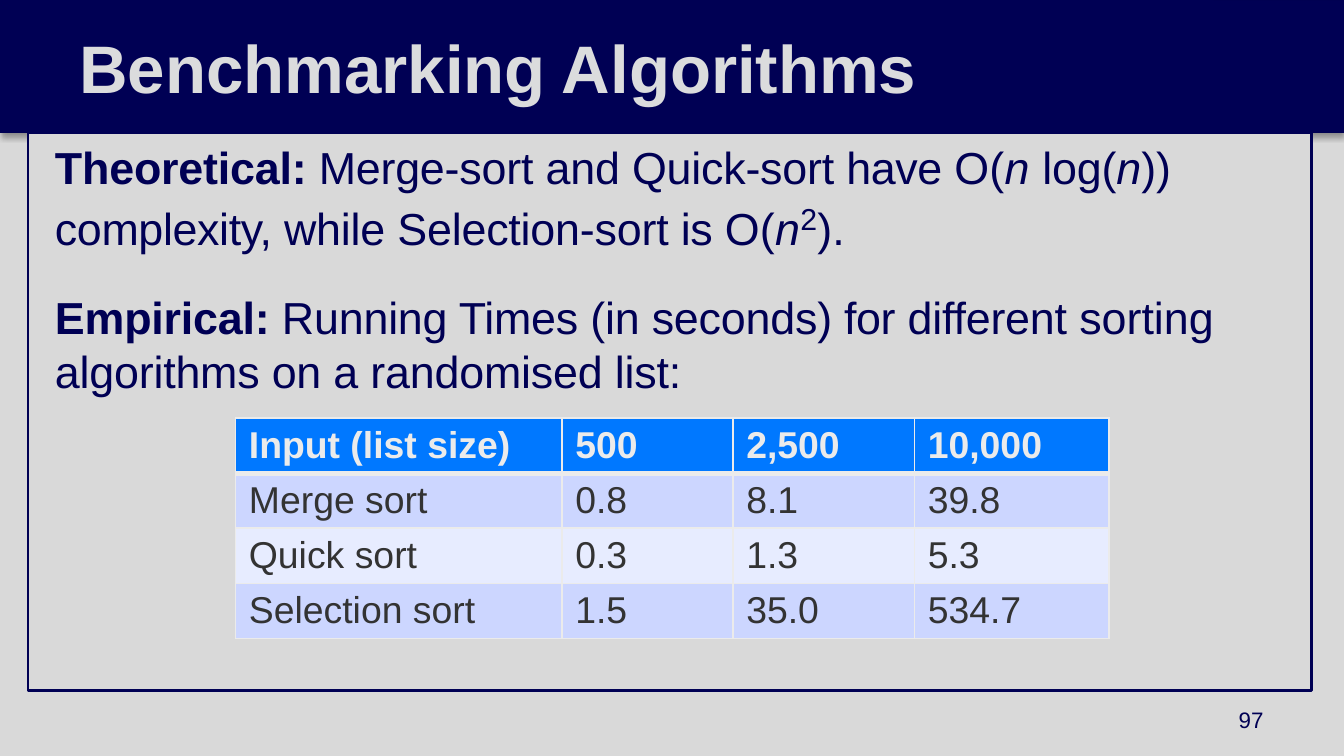
from lxml import etree
from pptx import Presentation
from pptx.dml.color import RGBColor
from pptx.enum.shapes import MSO_SHAPE as Shape
from pptx.enum.text import MSO_ANCHOR as Anchor, PP_ALIGN as Align
from pptx.oxml import parse_xml
from pptx.oxml.ns import nsdecls, qn
from pptx.util import Cm, Pt

NAVY, GREY, PALE = "000054", "D9D9D9", "EBEBEB"


def color(value):
    return RGBColor.from_string(value)


def add_run(paragraph, text, ink, spacing=0, **formats):
    run = paragraph.add_run()
    run.text = text
    run.font.color.rgb = color(ink)
    for name, value in {"name": "Arial", "bold": False, **formats}.items():
        setattr(run.font, name, value)
    if spacing:
        run._r.get_or_add_rPr().set("spc", str(spacing))
    return run


deck = Presentation()
deck.slide_width, deck.slide_height = Cm(25.4), Cm(14.29)
slide = deck.slides.add_slide(deck.slide_layouts[6])
slide.background.fill.solid()
slide.background.fill.fore_color.rgb = color(GREY)

# Header band, content panel and title block, from back to front
panels = []
for left, top, width, height, fill, line, weight in (
    (0, 0, 25.4, 2.51, NAVY, "000052", 0.75),
    (0.53, 2.51, 24.26, 10.54, GREY, NAVY, 1.5),
    (0, 0, 22.94, 2.51, NAVY, None, 0),
):
    panel = slide.shapes.add_shape(Shape.RECTANGLE, Cm(left), Cm(top), Cm(width), Cm(height))
    panel.shadow.inherit = False
    panel.fill.solid()
    panel.fill.fore_color.rgb = color(fill)
    if line:
        panel.line.color.rgb = color(line)
        panel.line.width = Pt(weight)
    else:
        panel.line.fill.background()
    panels.append(panel)
band, content, title = panels

# Soft shadow below the header band
effects = band._element.spPr.find(qn("a:effectLst"))
effects.append(parse_xml(
    f'<a:outerShdw {nsdecls("a")} blurRad="{Pt(3.1)}" dist="{Pt(1.8)}" dir="5400000" rotWithShape="0">'
    '<a:srgbClr val="000000"><a:alpha val="35000"/></a:srgbClr></a:outerShdw>'))

# Title
for name, value in {"word_wrap": True, "vertical_anchor": Anchor.MIDDLE,
                    "margin_left": Cm(1.02), "margin_right": Cm(1.02)}.items():
    setattr(title.text_frame, name, value)
heading = title.text_frame.paragraphs[0]
heading.alignment = Align.LEFT
heading._p.get_or_add_pPr().set("marL", str(Cm(0.48)))
add_run(heading, "Benchmarking Algorithms", "DBDCDD", size=Pt(36), bold=True)

# Theoretical and empirical statements: text, letter spacing, format
BOLD, ITALIC = {"bold": True}, {"italic": True}
statements = [
    [("Theoretical: ", -10, BOLD), ("Merge-sort and Quick-sort ", -10, {}), ("have ", -20, {}),
     ("O(", 10, {}), ("n ", 10, ITALIC), ("log(", -10, {}), ("n", -10, ITALIC),
     (")) ", -10, {}), ("complexity, ", -20, {}), ("while Selection-sort is ", -10, {}),
     ("O(", 10, {}), ("n", 10, ITALIC), ("2", 10, {"size": Pt(28)}), (").", 10, {})],
    [("Empirical: ", -10, BOLD), ("Running Times (in seconds) ", -10, {}), ("for ", -20, {}),
     ("different ", -10, {}), ("sorting ", 0, {}),
     ("algorithms on a randomised list:", -10, {})],
]
for name, value in {"word_wrap": True, "vertical_anchor": Anchor.TOP,
                    "margin_left": Cm(0.51), "margin_right": Cm(0.51)}.items():
    setattr(content.text_frame, name, value)
for index, pieces in enumerate(statements):
    statement = content.text_frame.add_paragraph() if index else content.text_frame.paragraphs[0]
    statement.alignment = Align.LEFT
    statement.space_before = Pt(18 if index else 0)
    for text, spacing, formats in pieces:
        piece = add_run(statement, text, NAVY, spacing, **{"size": Pt(24), **formats})
        if text == "2":
            piece._r.get_or_add_rPr().set("baseline", "28000")

# Running times
times = [
    ("Input (list size)", "500", "2,500", "10,000"),
    ("Merge sort", "0.8", "8.1", "39.8"),
    ("Quick sort", "0.3", "1.3", "5.3"),
    ("Selection sort", "1.5", "35.0", "534.7"),
]
widths = (6.17, 3.23, 3.43, 3.68)
row_fills = ("0078FF", "CCD6FF", "E7ECFF", "CCD6FF")
table = slide.shapes.add_table(len(times), len(widths), Cm(4.45), Cm(7.9),
                               Cm(sum(widths)), Cm(1.04 * len(times))).table
for column, width in zip(table.columns, widths):
    column.width = Cm(width)
for r, values in enumerate(times):
    table.rows[r].height = Cm(1.04)
    for c, value in enumerate(values):
        cell = table.cell(r, c)
        borders = cell._tc.get_or_add_tcPr()
        for side in "LRTB":
            thick = (r == 0 and side == "B") or (r == 1 and side == "T")
            edge = etree.SubElement(borders, qn(f"a:ln{side}"), w=str(Pt(3 if thick else 1)))
            edge_fill = etree.SubElement(edge, qn("a:solidFill"))
            etree.SubElement(edge_fill, qn("a:srgbClr"), val=PALE)
        cell.fill.solid()
        cell.fill.fore_color.rgb = color(row_fills[r])
        add_run(cell.text_frame.paragraphs[0], value, "333333" if r else PALE,
                size=Pt(20), bold=r == 0)

# Page number
page = slide.shapes.add_textbox(Cm(18.21), Cm(13.23), Cm(5.92), Cm(0.76)).text_frame
page.word_wrap = True
page.vertical_anchor = Anchor.MIDDLE
page.paragraphs[0].alignment = Align.RIGHT
add_run(page.paragraphs[0], "97", NAVY, size=Pt(12))

deck.save("out.pptx")
